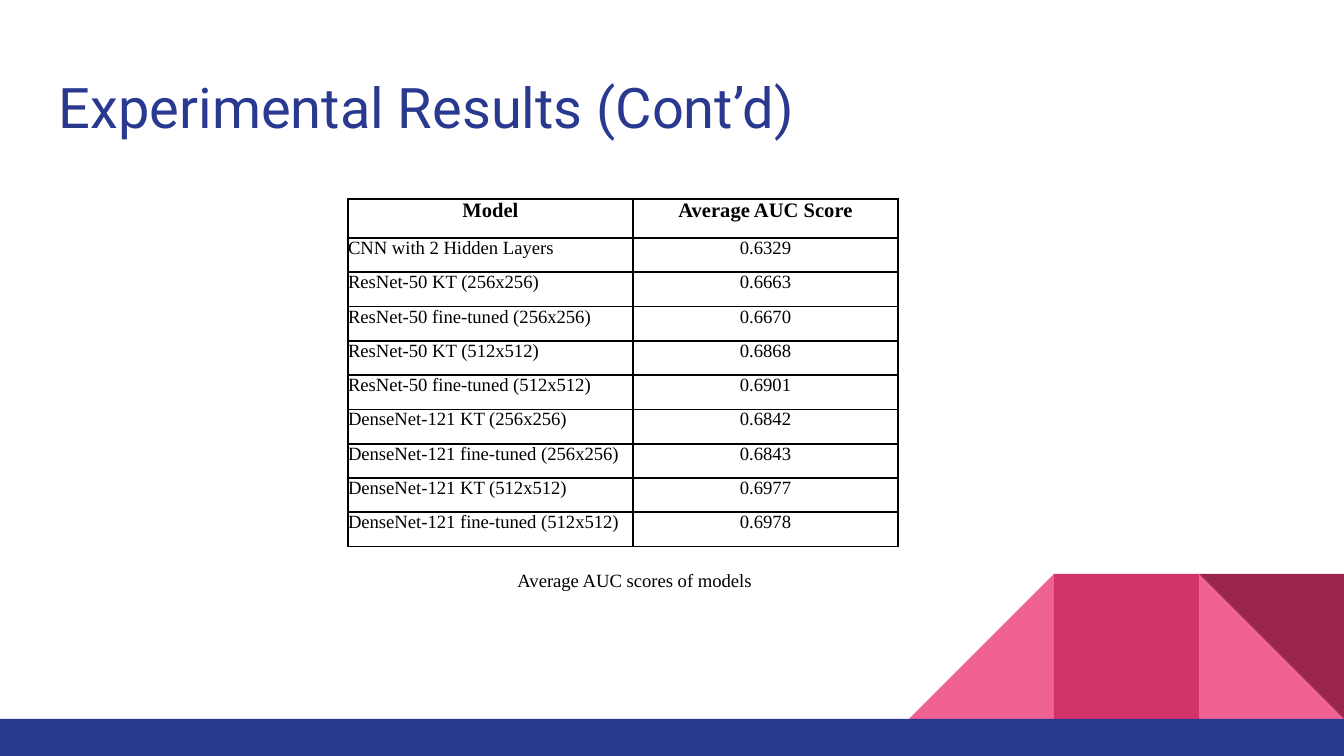
from lxml.etree import SubElement
from pptx import Presentation
from pptx.dml.color import RGBColor
from pptx.enum.shapes import MSO_SHAPE
from pptx.enum.text import MSO_ANCHOR, MSO_AUTO_SIZE, PP_ALIGN
from pptx.oxml.ns import qn
from pptx.util import Emu, Pt

EMU_PER_PX = 914400 / 134.4
COLORS = {
    "background": "FFFFFF",
    "navy": "2A3990",
    "light pink": "F06292",
    "pink": "D23369",
    "maroon": "9C254D",
    "black": "000000",
}
SCORES = [
    ("CNN with 2 Hidden Layers", "0.6329"),
    ("ResNet-50 KT (256x256)", "0.6663"),
    ("ResNet-50 fine-tuned (256x256)", "0.6670"),
    ("ResNet-50 KT (512x512)", "0.6868"),
    ("ResNet-50 fine-tuned (512x512)", "0.6901"),
    ("DenseNet-121 KT (256x256)", "0.6842"),
    ("DenseNet-121 fine-tuned (256x256)", "0.6843"),
    ("DenseNet-121 KT (512x512)", "0.6977"),
    ("DenseNet-121 fine-tuned (512x512)", "0.6978"),
]


def px(length):
    return Emu(round(length * EMU_PER_PX))


def color(name):
    return RGBColor.from_string(COLORS[name])


def write(frame, text, size, font="Times New Roman", ink="black",
          align=PP_ALIGN.LEFT, bold=False):
    paragraph = frame.paragraphs[0]
    paragraph.text = text
    paragraph.alignment = align
    paragraph.font.name = font
    paragraph.font.size = Pt(size)
    paragraph.font.bold = bold
    paragraph.font.color.rgb = color(ink)


def set_up_frame(frame, margin):
    frame.word_wrap = True
    frame.auto_size = MSO_AUTO_SIZE.NONE
    frame.vertical_anchor = MSO_ANCHOR.TOP
    frame.margin_left = frame.margin_right = px(margin)
    frame.margin_top = frame.margin_bottom = px(margin)


def add_block(slide, kind, left, top, width, height, fill):
    block = slide.shapes.add_shape(kind, px(left), px(top), px(width), px(height))
    block.shadow.inherit = False
    block.fill.solid()
    block.fill.fore_color.rgb = color(fill)
    block.line.fill.background()
    return block


def add_decoration(slide):
    side, right, floor = 145, 1344, 719
    top = floor - side
    triangle = MSO_SHAPE.RIGHT_TRIANGLE

    def add_tile(kind, places_from_right, fill):
        left = right - places_from_right * side
        return add_block(slide, kind, left, top, side, side, fill)

    add_tile(triangle, 1, "light pink")
    rising = add_tile(triangle, 3, "light pink")
    rising._element.spPr.find(qn("a:xfrm")).set("flipH", "1")
    add_tile(MSO_SHAPE.RECTANGLE, 2, "pink")
    add_tile(triangle, 1, "maroon").rotation = 180
    add_block(slide, MSO_SHAPE.RECTANGLE, 0, floor, right, 756 - floor, "navy")


def add_title(slide, text):
    title = slide.shapes.title
    title.left, title.top, title.width, title.height = map(px, (46, 60, 1252, 89))
    set_up_frame(title.text_frame, 13)
    write(title.text_frame, text, 30, "Roboto", "navy")


def outline_cell(cell):
    properties = cell._tc.get_or_add_tcPr()
    for position, side in enumerate(("lnL", "lnR", "lnT", "lnB")):
        border = properties.makeelement(qn(f"a:{side}"), {"w": str(Pt(1))})
        fill = SubElement(border, qn("a:solidFill"))
        SubElement(fill, qn("a:srgbClr"), val=COLORS["black"])
        properties.insert(position, border)  # borders precede the cell fill


def fill_cell(cell, text, size, align, bold):
    cell.margin_left = cell.margin_right = 0
    cell.margin_top = cell.margin_bottom = 0
    cell.vertical_anchor = MSO_ANCHOR.TOP
    cell.fill.background()
    outline_cell(cell)
    write(cell.text_frame, text, size, align=align, bold=bold)


def add_score_table(slide):
    rows = [("Model", "Average AUC Score"), *SCORES]
    widths = (285, 265)
    header_height, body_height = 39, 309
    table = slide.shapes.add_table(
        len(rows), len(widths), px(348), px(199),
        px(sum(widths)), px(header_height + body_height)).table
    for column, width in zip(table.columns, widths):
        column.width = px(width)
    for r, row in enumerate(rows):
        header = r == 0
        table.rows[r].height = px(header_height if header
                                  else body_height / len(SCORES))
        for c, text in enumerate(row):
            align = PP_ALIGN.CENTER if header or c else PP_ALIGN.LEFT
            fill_cell(table.cell(r, c), text, 11 if header else 10, align, header)


def add_caption(slide, text):
    caption = slide.shapes.add_textbox(px(414), px(556), px(441), px(38))
    set_up_frame(caption.text_frame, 13)
    write(caption.text_frame, text, 10, align=PP_ALIGN.CENTER)


def main():
    presentation = Presentation()
    presentation.slide_width = px(1344)
    presentation.slide_height = px(756)
    slide = presentation.slides.add_slide(
        presentation.slide_layouts.get_by_name("Title Only"))
    slide.background.fill.solid()
    slide.background.fill.fore_color.rgb = color("background")
    add_decoration(slide)
    add_title(slide, "Experimental Results (Cont’d)")
    add_score_table(slide)
    add_caption(slide, "Average AUC scores of models")
    presentation.save("out.pptx")


if __name__ == "__main__":
    main()
